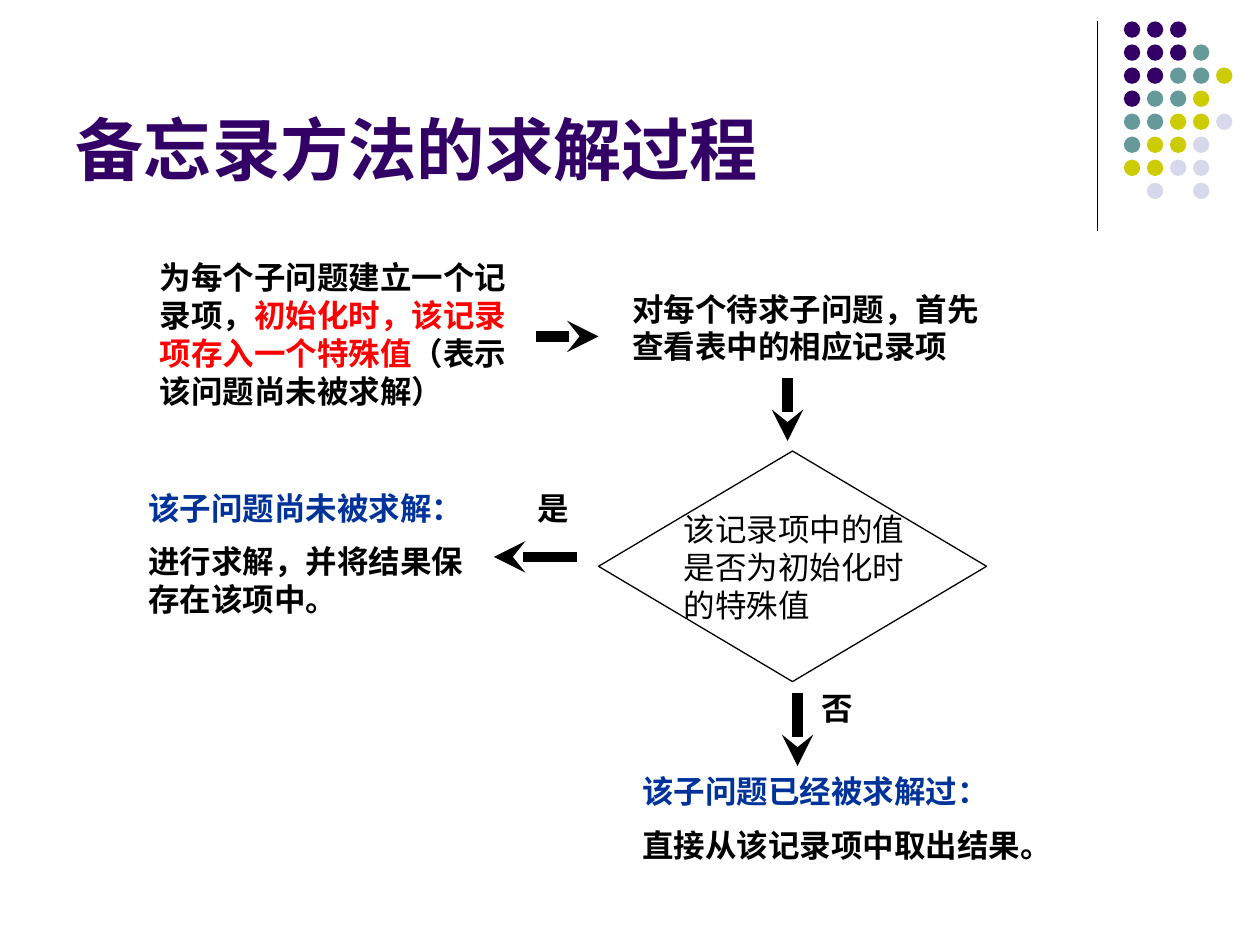
from lxml import etree
from pptx import Presentation
from pptx.dml.color import RGBColor
from pptx.enum.shapes import MSO_CONNECTOR, MSO_SHAPE
from pptx.enum.text import MSO_ANCHOR, MSO_AUTO_SIZE, PP_ALIGN
from pptx.oxml.ns import qn
from pptx.util import Inches, Pt

FONT = "Arial"
BLACK, RED, BLUE, PURPLE = "000000", "FF0000", "003399", "330066"
DOT_COLORS = {"P": PURPLE, "T": "669999", "Y": "CCCC00", "L": "D8D8EC"}
DOT_ROWS = ["PPP", "PPPT", "PPTTY", "PTTY", "TTYYL", "TYYL", "YYLL", " L L"]
DOT_LEFT, DOT_TOP, DOT_SIZE = 8.92, 0.17, 0.13
DOT_PITCH = 1.28 / 7


def rgb(color):
    return RGBColor.from_string(color)


def add_line(slide, start, end, width):
    line = slide.shapes.add_connector(
        MSO_CONNECTOR.STRAIGHT, *(Inches(v) for v in (*start, *end)))
    line.line.color.rgb = rgb(BLACK)
    line.line.width = Pt(width)
    etree.SubElement(line._element.spPr, qn("a:effectLst"))
    return line


def add_arrow(slide, start, end):
    arrow = add_line(slide, start, end, 6)
    etree.SubElement(arrow.line._get_or_add_ln(), qn("a:tailEnd"), type="stealth")


def add_dots(slide):
    """Draw the corner dots; each letter of DOT_ROWS stands for one colour."""
    for row, letters in enumerate(DOT_ROWS):
        for column, letter in enumerate(letters):
            if letter == " ":
                continue
            dot = slide.shapes.add_shape(
                MSO_SHAPE.OVAL,
                Inches(DOT_LEFT + column * DOT_PITCH),
                Inches(DOT_TOP + row * DOT_PITCH),
                Inches(DOT_SIZE), Inches(DOT_SIZE))
            dot.shadow.inherit = False
            dot.fill.solid()
            dot.fill.fore_color.rgb = rgb(DOT_COLORS[letter])
            dot.line.fill.background()


def add_title(slide, text):
    title = slide.shapes.title
    title.left, title.top = Inches(0.5), Inches(0.13)
    title.width, title.height = Inches(8.25), Inches(1.42)
    frame = title.text_frame
    frame.text = text
    frame.vertical_anchor = MSO_ANCHOR.BOTTOM
    frame.auto_size = MSO_AUTO_SIZE.NONE
    paragraph = frame.paragraphs[0]
    paragraph.alignment = PP_ALIGN.LEFT
    font = paragraph.font
    font.name, font.size, font.bold = FONT, Pt(39), True
    font.color.rgb = rgb(PURPLE)


def add_text(slide, box, *paragraphs, bold=True):
    """Add a text box; each paragraph is a list of (text, colour) runs."""
    frame = slide.shapes.add_textbox(*(Inches(v) for v in box)).text_frame
    frame.word_wrap = True
    frame.auto_size = MSO_AUTO_SIZE.SHAPE_TO_FIT_TEXT
    for index, runs in enumerate(paragraphs):
        paragraph = frame.add_paragraph() if index else frame.paragraphs[0]
        if index:
            paragraph.space_before = Pt(9)
        font = paragraph.font
        font.name, font.size, font.bold = FONT, Pt(18), bold
        for text, color in runs:
            run = paragraph.add_run()
            run.text = text
            run.font.color.rgb = rgb(color)


def add_decision(slide, box):
    diamond = slide.shapes.add_shape(MSO_SHAPE.DIAMOND, *(Inches(v) for v in box))
    diamond.shadow.inherit = False
    diamond.fill.background()
    diamond.line.color.rgb = rgb(BLACK)
    diamond.line.width = Pt(0.75)


def main():
    presentation = Presentation()
    presentation.slide_width, presentation.slide_height = Inches(10), Inches(7.5)
    slide = presentation.slides.add_slide(presentation.slide_layouts[5])

    add_line(slide, (8.71, 0.17), (8.71, 1.83), 0.75)
    add_dots(slide)
    add_title(slide, "备忘录方法的求解过程")

    add_text(slide, (1.17, 2, 3, 1.3),
             [("为每个子问题建立一个记录项，", BLACK),
              ("初始化时，该记录项存入一个特殊值", RED),
              ("（表示该问题尚未被求解）", BLACK)])
    add_arrow(slide, (4.25, 2.67), (4.75, 2.67))
    add_text(slide, (4.92, 2.25, 3, 0.7),
             [("对每个待求子问题，首先查看表中的相应记录项", BLACK)])
    add_arrow(slide, (6.25, 3), (6.25, 3.5))

    add_decision(slide, (4.75, 3.58, 3.08, 1.83))
    add_text(slide, (5.33, 4, 2, 1),
             [("该记录项中的值是否为初始化时的特殊值", BLACK)], bold=False)

    add_arrow(slide, (4.58, 4.42), (3.92, 4.42))
    add_text(slide, (4.17, 3.83, 0.5, 0.4), [("是", BLACK)])
    add_text(slide, (1.08, 3.83, 2.83, 1.15),
             [("该子问题尚未被求解：", BLUE)],
             [("进行求解，并将结果保存在该项中。", BLACK)])

    add_arrow(slide, (6.33, 5.5), (6.33, 6.08))
    add_text(slide, (6.42, 5.42, 0.5, 0.4), [("否", BLACK)])
    add_text(slide, (5, 6.08, 3.67, 0.85),
             [("该子问题已经被求解过：", BLUE)],
             [("直接从该记录项中取出结果。", BLACK)])

    presentation.save("out.pptx")


if __name__ == "__main__":
    main()
